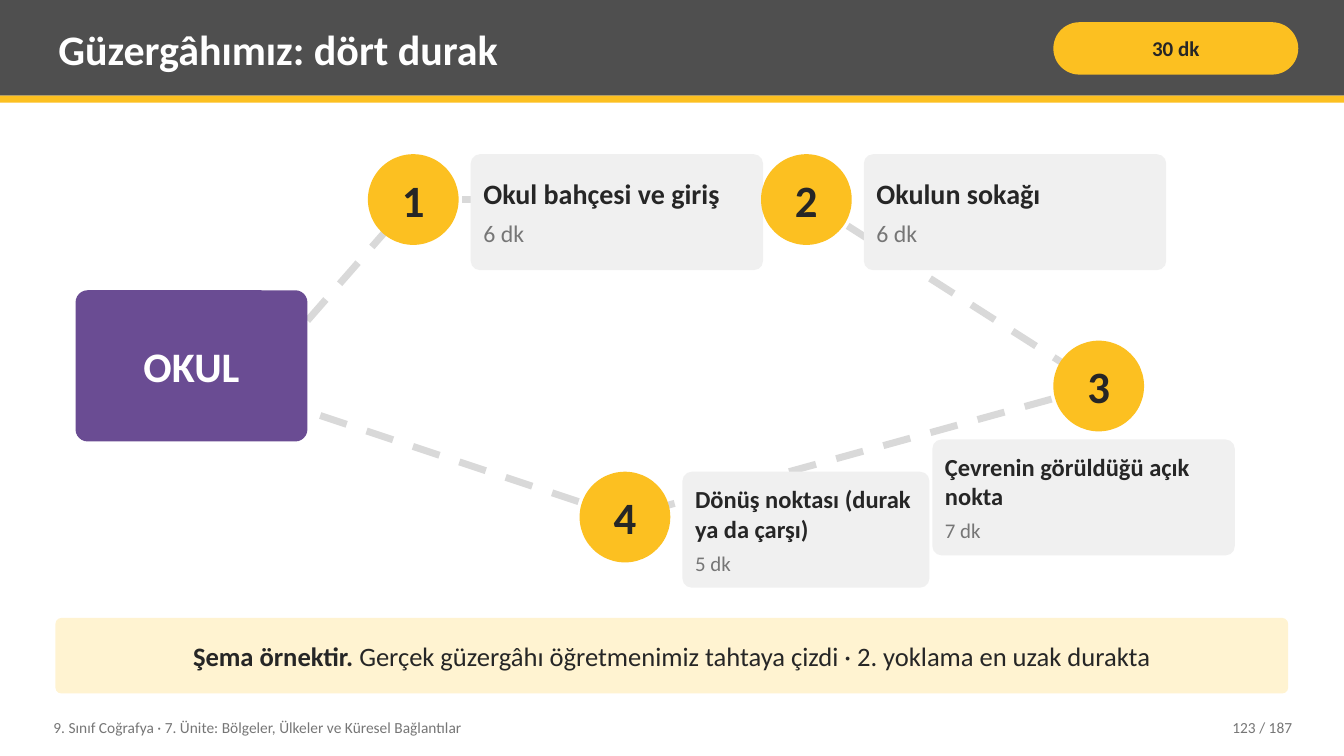
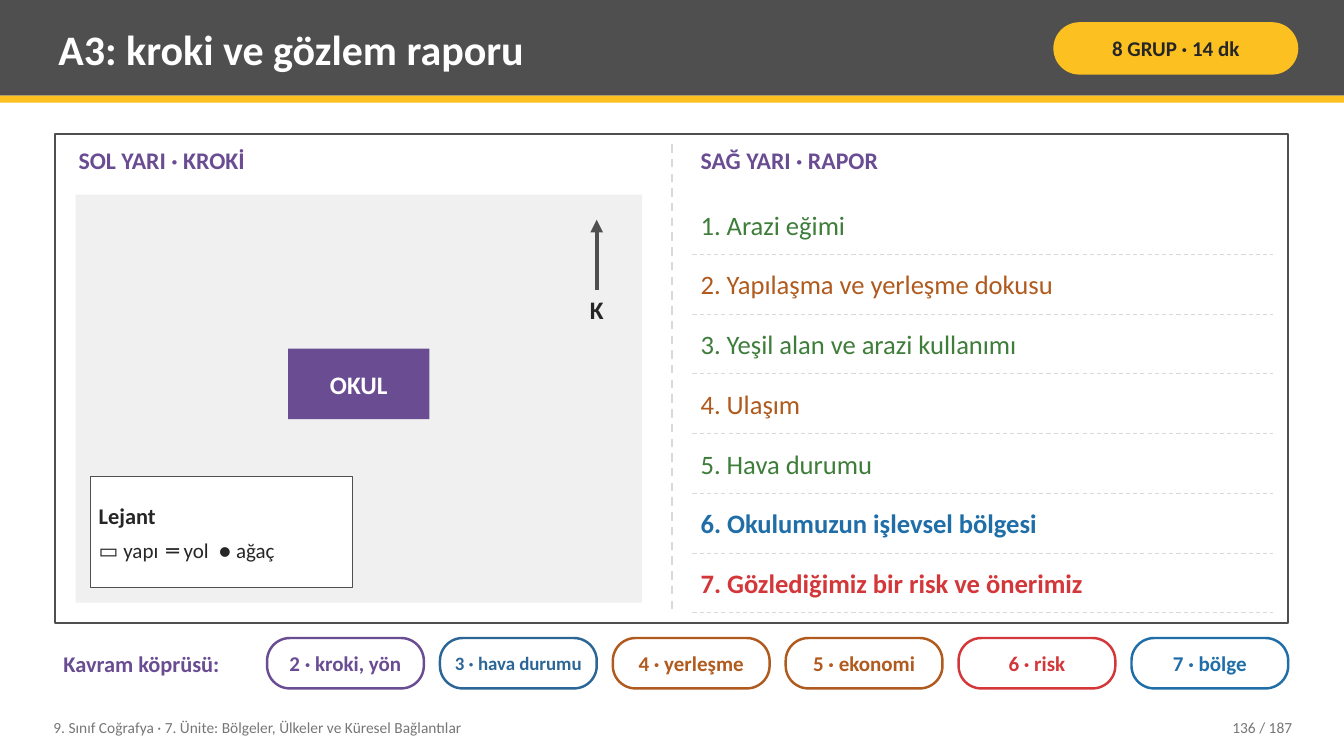
from dataclasses import dataclass
from itertools import pairwise
from typing import NamedTuple, Optional, Sequence

import pptx
import pptx.dml.color
import pptx.enum.dml
import pptx.enum.shapes
import pptx.enum.text
import pptx.oxml.ns
import pptx.oxml.xmlchemy
import pptx.shapes.autoshape
import pptx.slide
import pptx.util
from lxml import etree

RGBColor = pptx.dml.color.RGBColor
Shapes = pptx.enum.shapes.MSO_SHAPE
Align = pptx.enum.text.PP_ALIGN
Anchor = pptx.enum.text.MSO_ANCHOR
Slide = pptx.slide.Slide

CHARCOAL = RGBColor(0x4F, 0x4F, 0x4F)
YELLOW = RGBColor(0xFC, 0xC0, 0x21)
CREAM = RGBColor(0xFF, 0xF3, 0xD1)
WHITE = RGBColor(0xFF, 0xFF, 0xFF)
INK = RGBColor(0x26, 0x26, 0x26)
GREY = RGBColor(0x76, 0x76, 0x76)
RULE = RGBColor(0xD9, 0xD9, 0xD9)
PANEL = RGBColor(0xF0, 0xF0, 0xF0)
PURPLE = RGBColor(0x6A, 0x4C, 0x93)
GREEN = RGBColor(0x3E, 0x7D, 0x3A)
BROWN = RGBColor(0xB0, 0x5A, 0x1E)
BLUE = RGBColor(0x1F, 0x6E, 0xA8)
STEEL = RGBColor(0x2C, 0x66, 0x96)
RED = RGBColor(0xD3, 0x37, 0x3A)

FONT = "Calibri"
FOOTER = "9. Sınıf Coğrafya · 7. Ünite: Bölgeler, Ülkeler ve Küresel Bağlantılar"
PAGE_TOTAL = 187

CELL = 0.1
GRID_COLUMNS, GRID_ROWS = 133.33, 75
LEFT, RIGHT = 5.5, 127.8
CONTENT = RIGHT - LEFT

TEXT_INSETS = (0.8, 0.4)
CARD_INSETS = (1, 0.8)
NO_INSETS = (0, 0)


def cells(count: float) -> pptx.util.Length:
    return pptx.util.Inches(count * CELL)


class Point(NamedTuple):
    column: float
    row: float


class Box(NamedTuple):
    column: float
    row: float
    columns: float
    rows: float


@dataclass(frozen=True)
class Line:
    text: str
    size: float
    color: RGBColor = INK
    bold: bool = False
    align: Align = Align.LEFT
    space_after: float = 0
    lead: str = ""
    tabs: tuple[float, ...] = ()


@dataclass(frozen=True)
class Stop:
    column: float
    row: float
    name: str
    minutes: int
    card_columns: float
    size: float = 20
    card_shift: Point = Point(10.2, 0)


class Item(NamedTuple):
    text: str
    color: RGBColor
    bold: bool = False


class Chip(NamedTuple):
    text: str
    color: RGBColor
    size: float = 15


CIRCLE = 9
STOPS = (
    Stop(36.5, 15.3, "Okul bahçesi ve giriş", 6, 29),
    Stop(75.5, 15.3, "Okulun sokağı", 6, 30),
    Stop(104.5, 33.8, "Çevrenin görüldüğü açık nokta", 7, 30, 17.5, Point(-12, 9.8)),
    Stop(57.5, 46.8, "Dönüş noktası (durak ya da çarşı)", 5, 24.5, 17.5),
)
REPORT_ITEMS = (
    Item("Arazi eğimi", GREEN),
    Item("Yapılaşma ve yerleşme dokusu", BROWN),
    Item("Yeşil alan ve arazi kullanımı", GREEN),
    Item("Ulaşım", BROWN),
    Item("Hava durumu", GREEN),
    Item("Okulumuzun işlevsel bölgesi", BLUE, True),
    Item("Gözlediğimiz bir risk ve önerimiz", RED, True),
)
CHIPS = (
    Chip("2 · kroki, yön", PURPLE),
    Chip("3 · hava durumu", STEEL, 13.5),
    Chip("4 · yerleşme", BROWN),
    Chip("5 · ekonomi", BROWN),
    Chip("6 · risk", RED),
    Chip("7 · bölge", BLUE),
)


def write(shape: pptx.shapes.autoshape.Shape, lines: Sequence[Line],
          insets: tuple[float, float], anchor: Anchor, wrap: bool = True) -> None:
    frame = shape.text_frame
    frame.word_wrap = wrap
    frame.vertical_anchor = anchor
    frame.margin_left = frame.margin_right = cells(insets[0])
    frame.margin_top = frame.margin_bottom = cells(insets[1])
    for index, line in enumerate(lines):
        paragraph = frame.add_paragraph() if index else frame.paragraphs[0]
        paragraph.alignment = line.align
        if line.space_after:
            paragraph.space_after = pptx.util.Pt(line.space_after)
        if line.tabs:
            properties = paragraph._p.get_or_add_pPr()
            tab_list = etree.SubElement(properties, pptx.oxml.ns.qn("a:tabLst"))
            for tab in line.tabs:
                etree.SubElement(tab_list, pptx.oxml.ns.qn("a:tab"),
                                 pos=str(int(cells(tab))), algn="l")
        paragraph.font.name = FONT
        paragraph.font.size = pptx.util.Pt(line.size)
        paragraph.font.bold = line.bold
        paragraph.font.color.rgb = line.color
        if line.lead:
            lead = paragraph.add_run()
            lead.text = line.lead
            lead.font.bold = True
        paragraph.add_run().text = line.text


def add_text(slide: Slide, box: Box, line: Line, anchor: Anchor = Anchor.MIDDLE) -> None:
    shape = slide.shapes.add_textbox(*map(cells, box))
    write(shape, [line], TEXT_INSETS, anchor)


def add_block(slide: Slide, box: Box, fill: RGBColor, lines: Sequence[Line] = (),
              kind: Shapes = Shapes.RECTANGLE, corner: Optional[float] = None,
              border: Optional[RGBColor] = None, weight: float = 1,
              insets: tuple[float, float] = CARD_INSETS, wrap: bool = True) -> None:
    if corner is not None:
        kind = Shapes.ROUNDED_RECTANGLE
    shape = slide.shapes.add_shape(kind, *map(cells, box))
    shape.shadow.inherit = False
    if corner is not None:
        shape.adjustments[0] = corner
    shape.fill.solid()
    shape.fill.fore_color.rgb = fill
    if border is None:
        shape.line.fill.background()
    else:
        shape.line.color.rgb = border
        shape.line.width = pptx.util.Pt(weight)
    if lines:
        write(shape, lines, insets, Anchor.MIDDLE, wrap)


def add_line(slide: Slide, start: Point, end: Point, color: RGBColor, weight: float,
             dashed: bool = True, arrow: bool = False) -> None:
    connector = slide.shapes.add_connector(
        pptx.enum.shapes.MSO_CONNECTOR.STRAIGHT, *map(cells, (*start, *end)))
    connector.line.color.rgb = color
    connector.line.width = pptx.util.Pt(weight)
    if dashed:
        connector.line.dash_style = pptx.enum.dml.MSO_LINE.DASH
    if arrow:
        etree.SubElement(connector.line._get_or_add_ln(),
                         pptx.oxml.ns.qn("a:tailEnd"), type="triangle")
    etree.SubElement(connector._element.spPr, pptx.oxml.ns.qn("a:effectLst"))


def add_page(presentation, title: str, badge: str, page: int) -> Slide:
    slide = presentation.slides.add_slide(presentation.slide_layouts[6])
    add_block(slide, Box(0, 0, GRID_COLUMNS, 9.5), CHARCOAL)
    add_block(slide, Box(0, 9.5, GRID_COLUMNS, 0.7), YELLOW)
    add_text(slide, Box(5, 0.7, 97.5, 8.2), Line(title, 30, WHITE, True))
    add_block(slide, Box(104.5, 2.2, 24.3, 5.2), YELLOW,
              [Line(badge, 15, INK, True, Align.CENTER)], corner=0.5, insets=(0.5, 0.2))
    add_text(slide, Box(4.5, 70.4, 76, 3.6), Line(FOOTER, 11, GREY))
    add_text(slide, Box(113, 70.4, 16, 3.6),
             Line(f"{page} / {PAGE_TOTAL}", 11, GREY, align=Align.RIGHT))
    return slide


def add_stop(slide: Slide, number: int, stop: Stop) -> None:
    card = Box(stop.column + stop.card_shift.column, stop.row + stop.card_shift.row,
               stop.card_columns, 11.5)
    add_block(slide, card, PANEL, [
        Line(stop.name, stop.size, INK, True, space_after=round(stop.size * 0.3, 1)),
        Line(f"{stop.minutes} dk", round(stop.size * 0.85, 1), GREY),
    ], corner=0.08)
    add_block(slide, Box(stop.column, stop.row, CIRCLE, CIRCLE), YELLOW,
              [Line(str(number), 32, INK, True, Align.CENTER)],
              kind=Shapes.OVAL, insets=NO_INSETS, wrap=False)


def build_route(presentation) -> None:
    slide = add_page(presentation, "Güzergâhımız: dört durak", "30 dk", 123)
    centers = [Point(stop.column + CIRCLE / 2, stop.row + CIRCLE / 2) for stop in STOPS]
    for start, end in pairwise([Point(30.5, 31.8), *centers, Point(30.5, 40.8)]):
        add_line(slide, start, end, RULE, 5)
    add_block(slide, Box(7.5, 28.8, 23, 15), PURPLE,
              [Line("OKUL", 30, WHITE, True, Align.CENTER)], corner=0.08)
    for number, stop in enumerate(STOPS, 1):
        add_stop(slide, number, stop)
    add_block(slide, Box(LEFT, 61.3, CONTENT, 7.5), CREAM, [
        Line(" Gerçek güzergâhı öğretmenimiz tahtaya çizdi · 2. yoklama en uzak durakta",
             19, align=Align.CENTER, lead="Şema örnektir."),
    ], corner=0.08, insets=(2.2, 0.8))


def add_sketch(slide: Slide) -> None:
    add_block(slide, Box(7.5, 19.3, 56.2, 40.5), PANEL)
    add_line(slide, Point(59.2, 28.8), Point(59.2, 21.8), CHARCOAL, 3,
             dashed=False, arrow=True)
    add_text(slide, Box(56.7, 28.8, 5, 4), Line("K", 18, INK, True, Align.CENTER), Anchor.TOP)
    add_block(slide, Box(9, 47.3, 26, 11), WHITE, [
        Line("Lejant", 16, INK, True, space_after=6),
        Line("▭ yapı\t═ yol\t● ağaç", 15, tabs=(6.7, 11.9)),
    ], border=CHARCOAL, insets=(0.8, 0.8))
    add_block(slide, Box(28.6, 34.6, 14, 7), PURPLE,
              [Line("OKUL", 18, WHITE, True, Align.CENTER)])


def add_report(slide: Slide) -> None:
    column, top, bottom = 68.7, 19.3, 60.8
    pitch = (bottom - top) / len(REPORT_ITEMS)
    for index, item in enumerate(REPORT_ITEMS):
        row = top + index * pitch
        add_text(slide, Box(column, row, 57.2, pitch),
                 Line(f"{index + 1}. {item.text}", 19, item.color, item.bold))
        add_line(slide, Point(column, row + pitch), Point(126.3, row + pitch), RULE, 0.75)


def add_chips(slide: Slide) -> None:
    first, gap = 26.5, 1.6
    pitch = (RIGHT - first + gap) / len(CHIPS)
    add_text(slide, Box(LEFT, 63.3, 20.5, 5), Line("Kavram köprüsü:", 16, PURPLE, True))
    for index, chip in enumerate(CHIPS):
        add_block(slide, Box(first + index * pitch, 63.3, pitch - gap, 5), WHITE,
                  [Line(chip.text, chip.size, chip.color, True, Align.CENTER)],
                  corner=0.45, border=chip.color, weight=1.75, insets=(0.6, 0))


def build_worksheet(presentation) -> None:
    slide = add_page(presentation, "A3: kroki ve gözlem raporu", "8 GRUP · 14 dk", 136)
    add_block(slide, Box(LEFT, 13.3, CONTENT, 48.5), WHITE, border=CHARCOAL, weight=1.5)
    middle = GRID_COLUMNS / 2
    add_line(slide, Point(middle, 14.3), Point(middle, 60.8), RULE, 1.5)
    for column, heading in ((7, "SOL YARI · KROKİ"), (68.7, "SAĞ YARI · RAPOR")):
        add_text(slide, Box(column, 14.1, 57.2, 4.5),
                 Line(heading, 17, PURPLE, True), Anchor.TOP)
    add_sketch(slide)
    add_report(slide)
    add_chips(slide)


def main() -> None:
    presentation = pptx.Presentation()
    presentation.slide_width = cells(GRID_COLUMNS)
    presentation.slide_height = cells(GRID_ROWS)
    build_route(presentation)
    build_worksheet(presentation)
    presentation.save("out.pptx")


if __name__ == "__main__":
    main()
